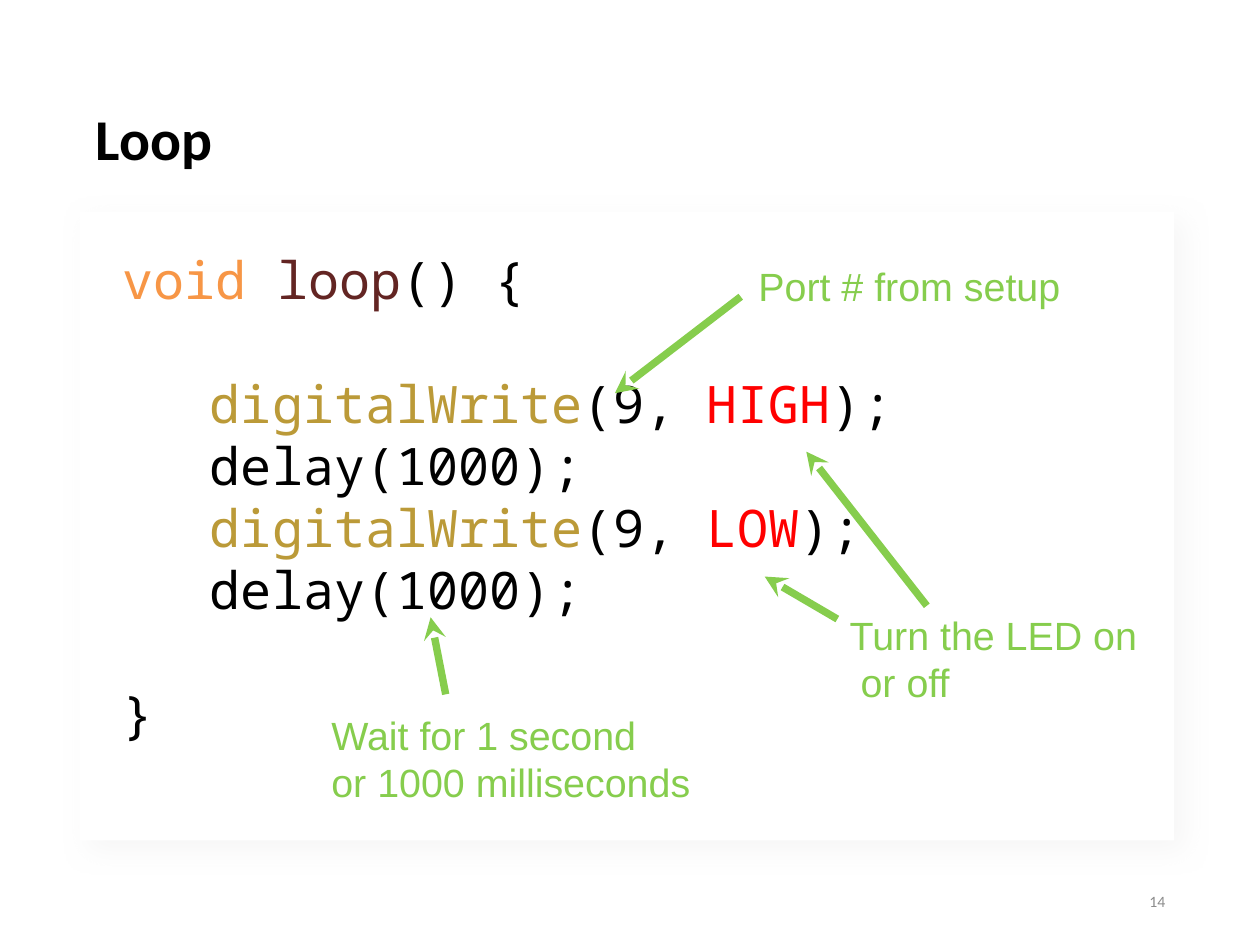
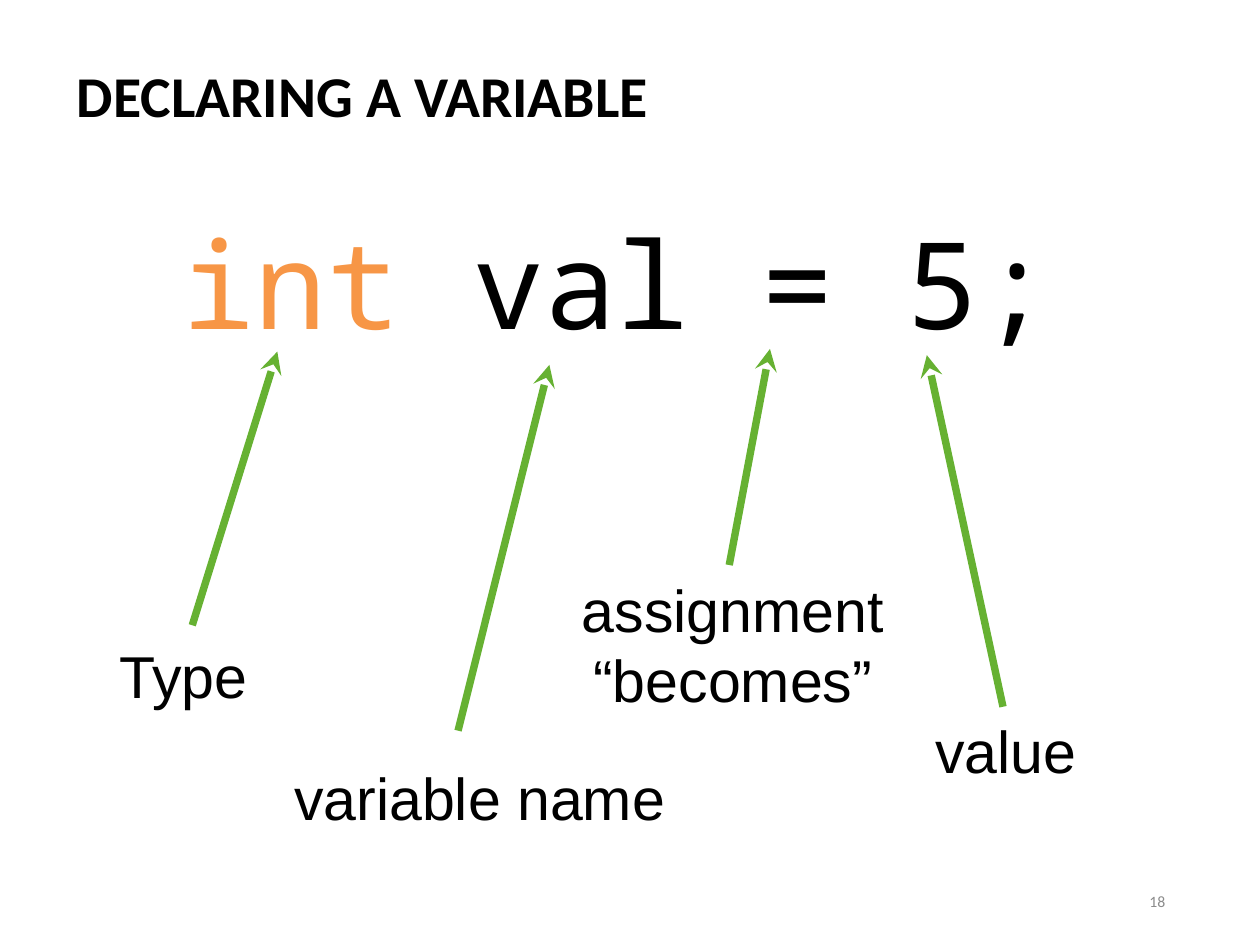
"""Build two slides that explain a loop and a variable declaration in code."""
from dataclasses import dataclass

from lxml import etree
from pptx import Presentation
from pptx.dml.color import RGBColor
from pptx.enum.shapes import MSO_CONNECTOR, MSO_SHAPE
from pptx.enum.text import MSO_ANCHOR, MSO_AUTO_SIZE, PP_ALIGN
from pptx.oxml.ns import qn
from pptx.slide import Slide
from pptx.util import Inches, Pt

LEFT, CENTER, RIGHT = PP_ALIGN.LEFT, PP_ALIGN.CENTER, PP_ALIGN.RIGHT
TOP, MIDDLE = MSO_ANCHOR.TOP, MSO_ANCHOR.MIDDLE
FIT_TEXT = MSO_AUTO_SIZE.SHAPE_TO_FIT_TEXT
STRAIGHT = MSO_CONNECTOR.STRAIGHT
RECTANGLE = MSO_SHAPE.RECTANGLE

WHITE = RGBColor(0xFF, 0xFF, 0xFF)
BLACK = RGBColor(0x00, 0x00, 0x00)
GREY = RGBColor(0x8C, 0x8C, 0x8C)
KEYWORD = RGBColor(0xF7, 0x96, 0x46)
LOOP_NAME = RGBColor(0x63, 0x25, 0x23)
FUNCTION = RGBColor(0xBB, 0x9A, 0x38)
LEVEL = RGBColor(0xFF, 0x00, 0x00)
LIME = RGBColor(0x86, 0xCD, 0x4D)
GREEN = RGBColor(0x66, 0xB1, 0x32)
SHADOW = RGBColor(0xE7, 0xE6, 0xE6)

HEADING_FONT, LABEL_FONT, CODE_FONT = "Calibri", "Arial", "Noto Sans Mono"
INSET = 0.06
CODE_INDENT = 0.99
LINE_RATIO = 1.2

Box = tuple[float, float, float, float]
Point = tuple[float, float]


@dataclass(frozen=True)
class Style:
    """Look shared by all paragraphs of a text box."""
    font: str
    size: float
    color: RGBColor = BLACK
    bold: bool = False
    align: PP_ALIGN = LEFT
    anchor: MSO_ANCHOR = TOP
    inset: float = INSET
    wrap: bool = True
    line_spacing: float = 1.0


@dataclass(frozen=True)
class Line:
    """Coloured pieces of one line, with its indent and gap above."""
    pieces: tuple[tuple[str, RGBColor], ...]
    indented: bool = False
    gap: bool = False


@dataclass(frozen=True)
class Note:
    """A label with the arrows that lead from it to the code."""
    lines: tuple[str, ...]
    box: Box
    arrows: tuple[tuple[Point, Point], ...]
    align: PP_ALIGN = LEFT


TITLE = Style(HEADING_FONT, 46.9, bold=True, anchor=MIDDLE, inset=0.1, line_spacing=0.9)
PAGE_NUMBER = Style(HEADING_FONT, 12.8, GREY, align=RIGHT, anchor=MIDDLE, inset=0.1)

LOOP_CODE = (
    Line((("void ", KEYWORD), ("loop", LOOP_NAME), ("() {", BLACK))),
    Line((("digitalWrite", FUNCTION), ("(9, ", BLACK), ("HIGH", LEVEL), (");", BLACK)),
         indented=True, gap=True),
    Line((("delay(1000);", BLACK),), indented=True),
    Line((("digitalWrite", FUNCTION), ("(9, ", BLACK), ("LOW", LEVEL), (");", BLACK)),
         indented=True),
    Line((("delay(1000);", BLACK),), indented=True),
    Line((("}", BLACK),), gap=True),
)
LOOP_NOTES = (
    Note(("Port # from setup",), (8.5, 2.96, 3.6, 0.61), (((8.36, 3.35), (6.94, 4.44)),)),
    Note(("Turn the LED on", " or off"), (9.53, 6.9, 3.43, 1.13),
         (((10.46, 6.84), (9.1, 5.1)), ((9.45, 6.99), (8.63, 6.51)))),
    Note(("Wait for 1 second", "or 1000 milliseconds"), (3.68, 8.03, 4.24, 1.13),
         (((5.03, 7.84), (4.86, 6.97)),)),
)

VARIABLE_CODE = (Line((("int ", KEYWORD), ("val = 5;", BLACK))),)
VARIABLE_NOTES = (
    Note(("Type",), (1.29, 7.22, 1.63, 0.85), (((2.17, 7.06), (3.13, 3.97)),)),
    Note(("variable name",), (3.26, 8.6, 4.38, 0.85), (((5.17, 8.25), (6.2, 4.12)),)),
    Note(("assignment", "“becomes”"), (6.47, 6.47, 3.6, 1.61),
         (((8.23, 6.38), (8.69, 3.94)),), CENTER),
    Note(("value",), (10.46, 8.07, 1.78, 0.85), (((11.32, 7.98), (10.46, 4.01)),), CENTER),
)


def add_text(slide: Slide, box: Box, lines: tuple[Line, ...], style: Style) -> None:
    """Write coloured lines in a text box."""
    frame = slide.shapes.add_textbox(*map(Inches, box)).text_frame
    frame.word_wrap = style.wrap
    if not style.wrap:
        frame.auto_size = FIT_TEXT
    frame.vertical_anchor = style.anchor
    frame.margin_left = frame.margin_right = Inches(style.inset)
    frame.margin_top = frame.margin_bottom = 0
    for index, line in enumerate(lines):
        paragraph = frame.add_paragraph() if index else frame.paragraphs[0]
        paragraph.alignment = style.align
        paragraph.line_spacing = style.line_spacing
        if line.gap:
            paragraph.space_before = Pt(style.size * LINE_RATIO)
        if line.indented:
            paragraph_format = paragraph._p.get_or_add_pPr()
            paragraph_format.set("marL", str(Inches(CODE_INDENT)))
            paragraph_format.set("indent", "0")
        paragraph.font.name = style.font
        paragraph.font.size = Pt(style.size)
        paragraph.font.bold = style.bold
        for text, color in line.pieces:
            run = paragraph.add_run()
            run.text = text
            run.font.color.rgb = color


def plain(color: RGBColor, *texts: str) -> tuple[Line, ...]:
    """Turn texts into lines of one colour."""
    return tuple(Line(((text, color),)) for text in texts)


def add_arrow(slide: Slide, start: Point, tip: Point, color: RGBColor) -> None:
    """Draw a thick arrow with a stealth head at its tip."""
    arrow = slide.shapes.add_connector(STRAIGHT, *map(Inches, (*start, *tip)))
    arrow.line.color.rgb = color
    arrow.line.width = Pt(6)
    etree.SubElement(arrow.line._get_or_add_ln(), qn("a:tailEnd"), type="stealth")
    etree.SubElement(arrow._element.spPr, qn("a:effectLst"))


def add_notes(slide: Slide, notes: tuple[Note, ...], size: float,
              text_color: RGBColor, arrow_color: RGBColor) -> None:
    """Draw each label with its arrows."""
    for note in notes:
        style = Style(LABEL_FONT, size, align=note.align, wrap=False)
        add_text(slide, note.box, plain(text_color, *note.lines), style)
        for start, tip in note.arrows:
            add_arrow(slide, start, tip, arrow_color)


def add_card(slide: Slide, box: Box) -> None:
    """Draw a white card with a soft shadow."""
    card = slide.shapes.add_shape(RECTANGLE, *map(Inches, box))
    card.fill.solid()
    card.fill.fore_color.rgb = WHITE
    card.line.fill.background()
    card.shadow.inherit = False
    effects = card._element.spPr.find(qn("a:effectLst"))
    shadow = etree.SubElement(effects, qn("a:outerShdw"), blurRad=str(Pt(22)),
                              dist=str(Pt(11)), dir=str(45 * 60000), rotWithShape="0")
    tint = etree.SubElement(shadow, qn("a:srgbClr"), val=str(SHADOW))
    etree.SubElement(tint, qn("a:alpha"), val="35000")


def add_slide(deck: Presentation, title: str, title_box: Box, number: int) -> Slide:
    """Add a blank slide with its title and page number."""
    slide = deck.slides.add_slide(deck.slide_layouts[6])
    add_text(slide, title_box, plain(BLACK, title), TITLE)
    add_text(slide, (10.05, 9.89, 3.2, 0.57), plain(GREY, str(number)), PAGE_NUMBER)
    return slide


def main() -> None:
    """Build and save the deck."""
    deck = Presentation()
    deck.slide_width, deck.slide_height = Inches(14.22), Inches(10.67)

    loop = add_slide(deck, "Loop", (0.98, 0.57, 12.27, 2.06), 14)
    add_card(loop, (0.9, 2.39, 12.35, 7.1))
    add_text(loop, (1.32, 2.8, 11.9, 5.64), LOOP_CODE, Style(CODE_FONT, 42))
    add_notes(loop, LOOP_NOTES, 32, LIME, LIME)

    variable = add_slide(deck, "DECLARING A VARIABLE", (0.77, -0.06, 12.75, 2.34), 18)
    add_text(variable, (2, 2.36, 10.81, 2.81), VARIABLE_CODE, Style(CODE_FONT, 98))
    add_notes(variable, VARIABLE_NOTES, 48, BLACK, GREEN)

    deck.save("out.pptx")


if __name__ == "__main__":
    main()
